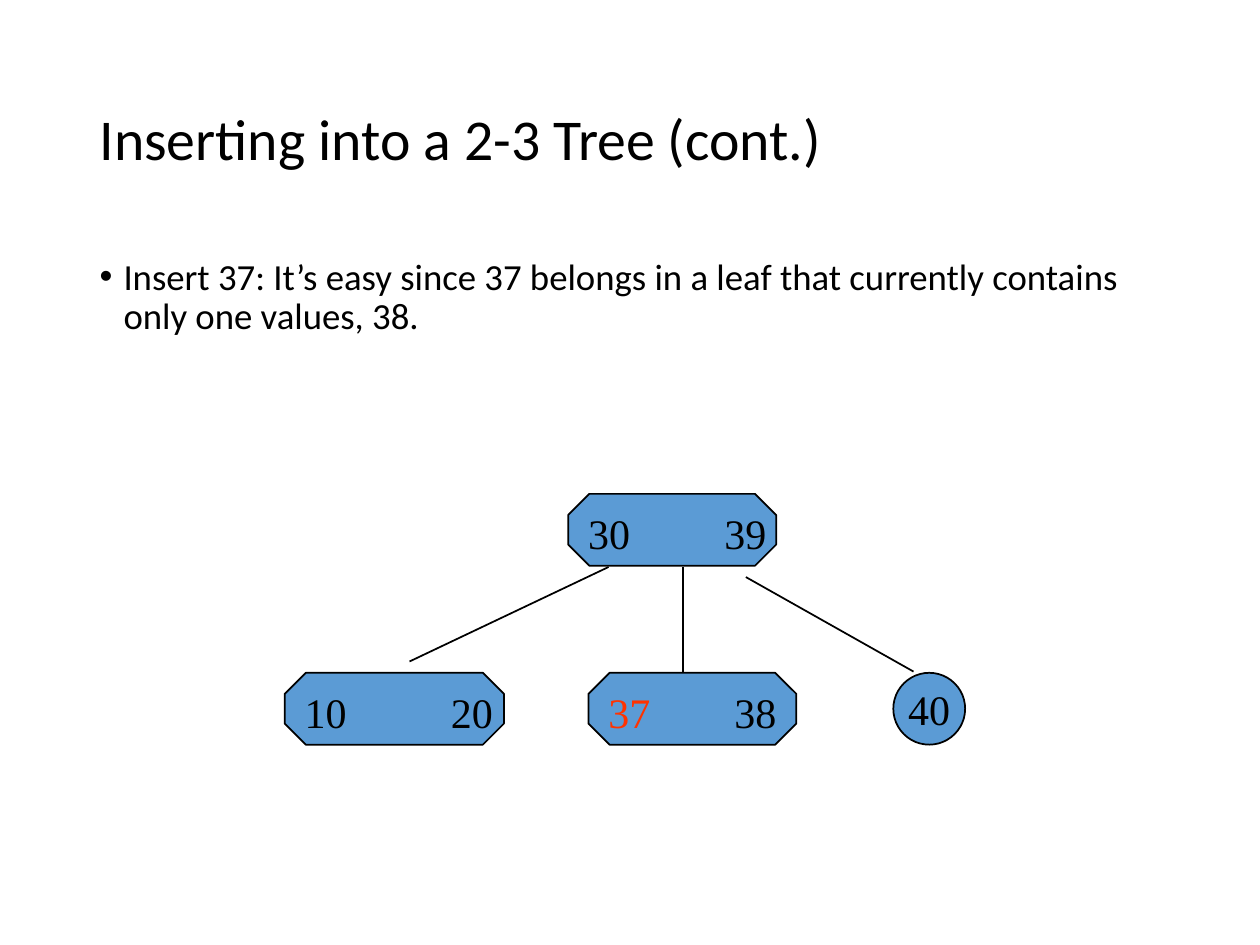
from lxml import etree
from pptx import Presentation
from pptx import util as u
from pptx.dml.color import RGBColor
from pptx.enum import shapes, text
from pptx.oxml.ns import qn

HUES = {"ink": "000000", "node": "5B9BD5", "new": "FF3300"}
KIND = shapes.MSO_SHAPE
ALIGN = text.PP_ALIGN
MID = text.MSO_ANCHOR.MIDDLE
TOP = text.MSO_ANCHOR.TOP


def put(item, vals):
    for key, val in vals.items():
        setattr(item, key, val)


def tint(name):
    return RGBColor.from_string(HUES[name])


class Deck:
    serif = {"name": "Times New Roman", "size": u.Pt(24)}
    sans = {"name": "Calibri"}

    def __init__(self, show):
        self.slide = show.slides.add_slide(show.slide_layouts[1])
        self.items = self.slide.shapes

    def fill(self, shape, words, font, frame, para, hue="ink"):
        put(shape.text_frame, frame)
        line = shape.text_frame.paragraphs[0]
        put(line, para)
        run = line.add_run()
        run.text = words
        put(run.font, font)
        run.font.color.rgb = tint(hue)
        return line

    def hold(self, spot, box, words, size, anchor, gap=0):
        shape = self.slide.placeholders[spot]
        put(shape, dict(zip(("left", "top", "width", "height"), map(u.Inches, box))))
        frame = {"auto_size": text.MSO_AUTO_SIZE.NONE, "vertical_anchor": anchor, "word_wrap": True}
        para = {"alignment": ALIGN.LEFT, "line_spacing": 0.9, "space_before": u.Pt(gap)}
        return self.fill(shape, words, {**self.sans, "size": u.Pt(size)}, frame, para)

    def list(self, box, words, size, indent):
        props = self.hold(1, box, words, size, TOP, 7.5)._p.get_or_add_pPr()
        props.set("marL", str(u.Inches(indent)))
        props.set("indent", str(-u.Inches(indent)))

    def node(self, kind, x, y, wide, high=0.57):
        shape = self.items.add_shape(kind, *map(u.Inches, (x, y, wide, high)))
        shape.shadow.inherit = False
        shape.fill.solid()
        shape.fill.fore_color.rgb = tint("node")
        shape.line.color.rgb = tint("ink")
        shape.line.width = u.Pt(1)
        if kind == KIND.OCTAGON:
            shape.adjustments[0] = 0.293
        return shape

    def leaf(self, x, y, words):
        shape = self.node(KIND.OVAL, x, y, 0.57)
        frame = {"word_wrap": False, "vertical_anchor": MID}
        self.fill(shape, words, self.serif, frame, {"alignment": ALIGN.CENTER})

    def edge(self, *ends):
        line = self.items.add_connector(shapes.MSO_CONNECTOR.STRAIGHT, *map(u.Inches, ends))
        line.line.color.rgb = tint("ink")
        line.line.width = u.Pt(1)
        etree.SubElement(line._element.spPr, qn("a:effectLst"))

    def label(self, x, y, wide, words, hue="ink", stop=None):
        shape = self.items.add_textbox(*map(u.Inches, (x, y, wide, 0.5)))
        frame = {"word_wrap": True, "margin_right": 0}
        line = self.fill(shape, words, self.serif, frame, {"alignment": ALIGN.LEFT}, hue)
        if stop:
            tabs = etree.SubElement(line._p.get_or_add_pPr(), qn("a:tabLst"))
            etree.SubElement(tabs, qn("a:tab"), pos=str(u.Inches(stop)), algn="l")


def main():
    show = Presentation()
    put(show, {"slide_width": u.Inches(10), "slide_height": u.Inches(7.5)})
    deck = Deck(show)
    deck.hold(0, (0.69, 0.4, 8.63, 1.45), "Inserting into a 2-3 Tree (cont.)", 33, MID)
    deck.list((0.69, 2, 8.63, 4.76),
              "Insert 37: It’s easy since 37 belongs in a leaf that currently "
              "contains only one values, 38.", 21, 0.19)

    root, base, drop = 3.92, 5.34, 0.06
    for x, y, wide in ((4.51, root, 1.65), (2.26, base, 1.74), (4.67, base, 1.65)):
        deck.node(KIND.OCTAGON, x, y, wide)
    deck.leaf(7.09, base, "40")

    for ends in ((4.83, 4.5, 3.25, 5.25), (5.42, 4.5, 5.42, 5.33), (5.92, 4.58, 7.25, 5.33)):
        deck.edge(*ends)

    deck.label(4.57, root + drop, 1.62, "30\t39", stop=1.08)
    deck.label(2.32, base + drop, 1.7, "10\t20", stop=1.16)
    deck.label(4.73, base + drop, 0.68, "37", "new")
    deck.label(5.73, base + drop, 0.54, "38")
    show.save("out.pptx")


if __name__ == "__main__":
    main()
